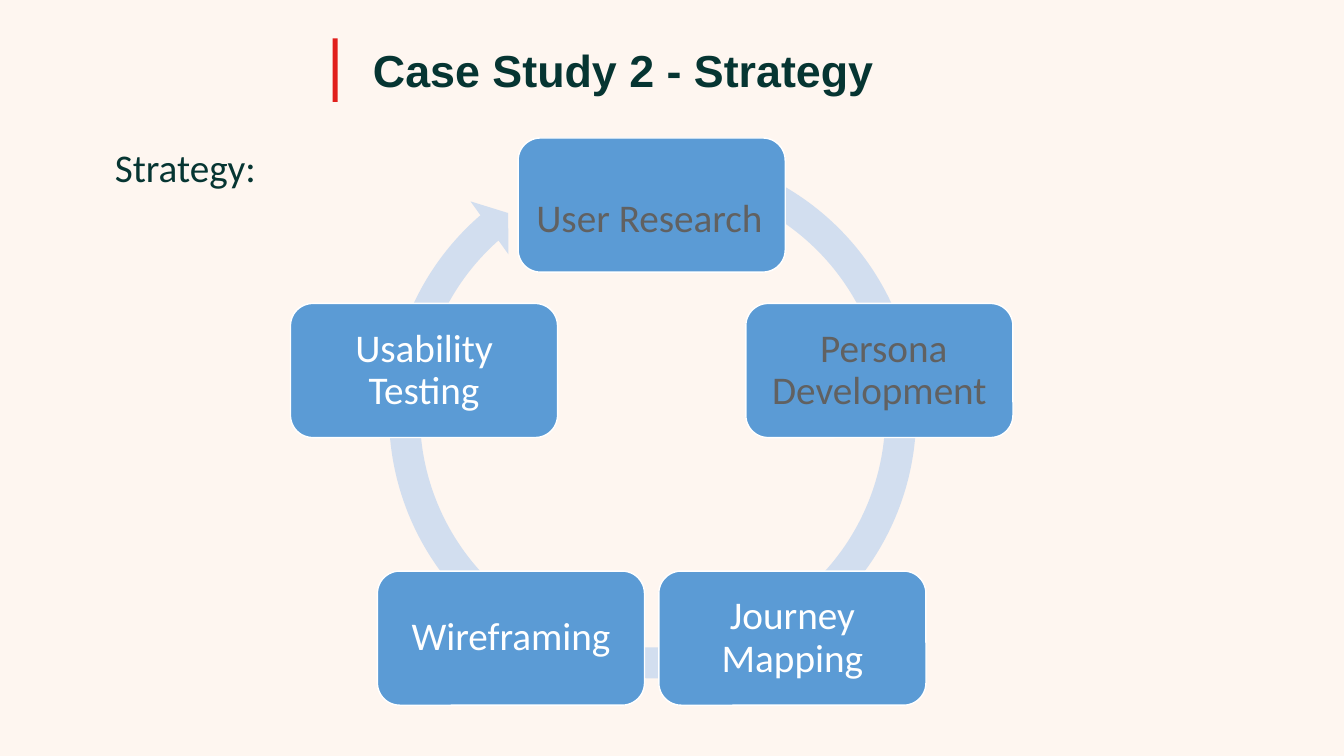
import math

import pptx
import pptx.dml.color
import pptx.enum.shapes
import pptx.enum.text
import pptx.util

Pt = pptx.util.Pt
RGBColor = pptx.dml.color.RGBColor
SHAPES = pptx.enum.shapes.MSO_SHAPE
ANCHOR = pptx.enum.text.MSO_ANCHOR
ALIGN = pptx.enum.text.PP_ALIGN
AUTO_SIZE = pptx.enum.text.MSO_AUTO_SIZE

CREAM = RGBColor(0xFE, 0xF6, 0xF0)
RED = RGBColor(0xE1, 0x1F, 0x1C)
DARK_GREEN = RGBColor(0x06, 0x35, 0x32)
PALE_BLUE = RGBColor(0xD2, 0xDE, 0xEF)
BLUE = RGBColor(0x5B, 0x9B, 0xD5)
GRAY = RGBColor(0x61, 0x61, 0x61)
WHITE = RGBColor(0xFF, 0xFF, 0xFF)

# Cycle geometry, in points
CENTER_X, CENTER_Y, RADIUS = 465.5, 317.5, 171
NODE_WIDTH, NODE_HEIGHT = 190.8, 95.8


def apply(target, values):
    for name, value in values.items():
        setattr(target, name, value)


class SlideBuilder:
    title_font = {"name": "Arial", "size": Pt(32), "bold": True}
    body_font = {"name": "Calibri", "size": Pt(28), "bold": False}

    def __init__(self, slide):
        self.slide = slide
        slide.background.fill.solid()
        slide.background.fill.fore_color.rgb = CREAM

    def set_text(self, shape, text, font, color, frame_format, paragraph_format):
        frame = shape.text_frame
        apply(frame, frame_format)
        paragraph = frame.paragraphs[0]
        paragraph.text = text
        apply(paragraph, paragraph_format)
        run_font = paragraph.runs[0].font
        apply(run_font, font)
        run_font.color.rgb = color

    def title(self, text, left, top, width, height):
        shape = self.slide.shapes.title
        apply(shape, {"left": Pt(left), "top": Pt(top),
                      "width": Pt(width), "height": Pt(height)})
        self.set_text(shape, text, self.title_font, DARK_GREEN,
                      {"vertical_anchor": ANCHOR.BOTTOM, "word_wrap": True,
                       "auto_size": AUTO_SIZE.NONE},
                      {"alignment": ALIGN.LEFT, "line_spacing": 0.9})

    def label(self, text, left, top, width, height):
        box = self.slide.shapes.add_textbox(Pt(left), Pt(top), Pt(width), Pt(height))
        self.set_text(box, text, self.body_font, DARK_GREEN,
                      {"word_wrap": False, "auto_size": AUTO_SIZE.SHAPE_TO_FIT_TEXT},
                      {"alignment": ALIGN.LEFT})

    def shape(self, kind, left, top, width, height, fill, line=None):
        shape = self.slide.shapes.add_shape(
            kind, Pt(left), Pt(top), Pt(width), Pt(height))
        shape.shadow.inherit = False
        shape.fill.solid()
        shape.fill.fore_color.rgb = fill
        if line is None:
            shape.line.fill.background()
        else:
            shape.line.color.rgb = line
            shape.line.width = Pt(1)
        return shape

    def ring(self, left, top, size, adjustments):
        arrow = self.shape(SHAPES.CIRCULAR_ARROW, left, top, size, size, PALE_BLUE)
        for index, value in enumerate(adjustments):
            arrow.adjustments[index] = value

    def node(self, text, center_x, center_y, color, alignment, spacing):
        node = self.shape(SHAPES.ROUNDED_RECTANGLE, center_x - NODE_WIDTH / 2,
                          center_y - NODE_HEIGHT / 2, NODE_WIDTH, NODE_HEIGHT,
                          BLUE, WHITE)
        margins = {f"margin_{side}": Pt(8.4)
                   for side in ("left", "right", "top", "bottom")}
        self.set_text(node, text, self.body_font, color,
                      {"word_wrap": True, "vertical_anchor": ANCHOR.MIDDLE, **margins},
                      {"alignment": alignment, "line_spacing": spacing})


def main():
    presentation = pptx.Presentation()
    presentation.slide_width, presentation.slide_height = Pt(960), Pt(540)
    builder = SlideBuilder(presentation.slides.add_slide(presentation.slide_layouts[5]))

    # Heading with its red bar
    builder.shape(SHAPES.RECTANGLE, 237.6, 27.4, 3.6, 45.4, RED)
    builder.title("Case Study 2 - Strategy", 259.2, 13, 677.5, 59.8)

    # Ring with arrowhead, behind the steps
    builder.ring(265.7, 95.8, 401, (0.055, 3.307, 137.333, 174.12, 0.058))

    # Steps, clockwise from the top
    steps = [
        ("User Research", GRAY, ALIGN.LEFT, 1.5),
        (" Persona Development", GRAY, ALIGN.CENTER, 0.9),
        ("Journey Mapping", WHITE, ALIGN.CENTER, 0.9),
        ("Wireframing", WHITE, ALIGN.CENTER, 0.9),
        ("Usability Testing", WHITE, ALIGN.CENTER, 0.9),
    ]
    for index, (text, color, alignment, spacing) in enumerate(steps):
        angle = math.tau * index / len(steps)
        builder.node(text, CENTER_X + RADIUS * math.sin(angle),
                     CENTER_Y - RADIUS * math.cos(angle), color, alignment, spacing)

    # Side label
    builder.label("Strategy:", 74.9, 98.6, 115.9, 41)

    presentation.save("out.pptx")


if __name__ == "__main__":
    main()
